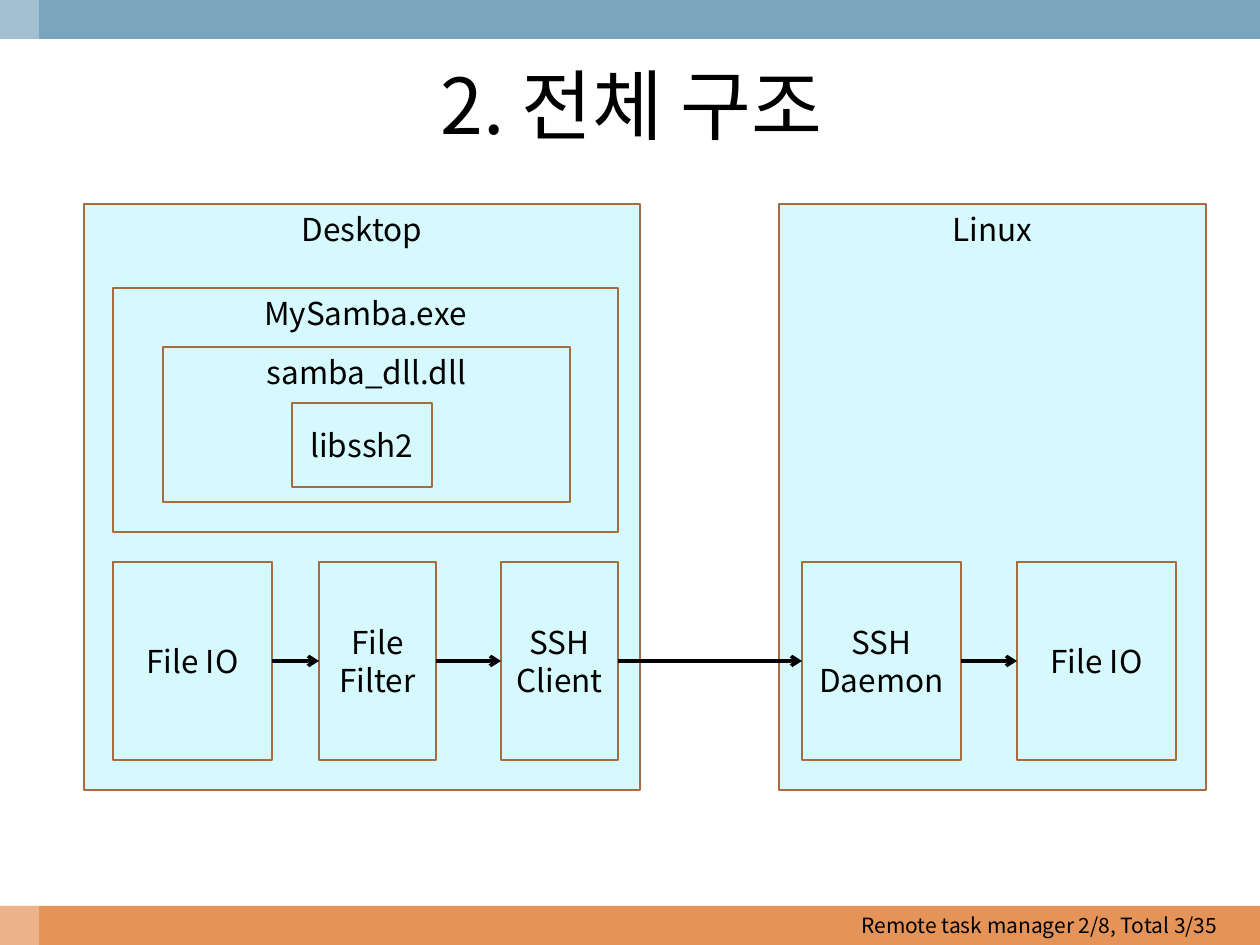
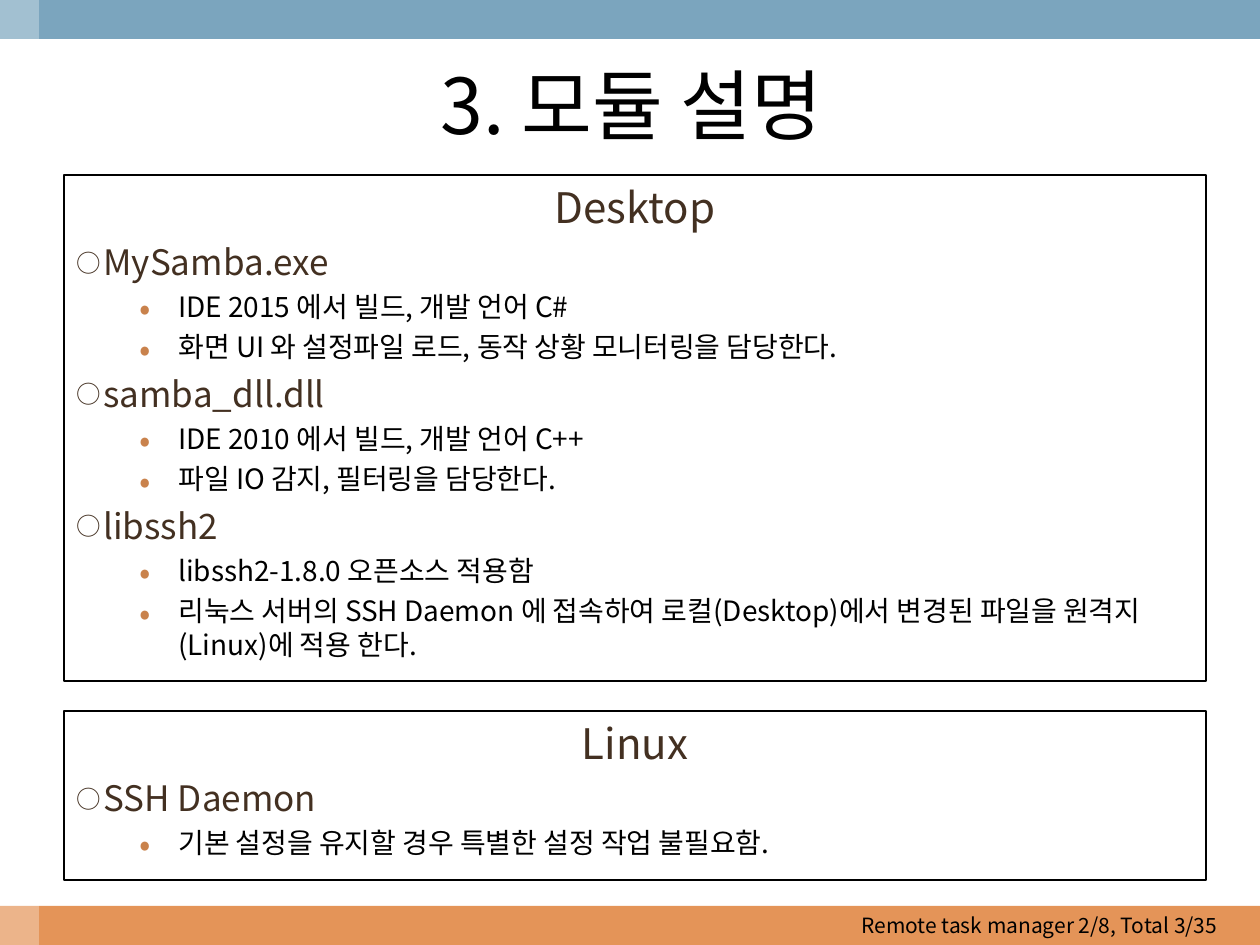
from dataclasses import dataclass

import pptx
import pptx.dml.color
import pptx.enum.shapes
import pptx.enum.text
import pptx.oxml
import pptx.oxml.ns
import pptx.util
from lxml import etree

ALIGN = pptx.enum.text.PP_ALIGN
ANCHOR = pptx.enum.text.MSO_ANCHOR
EMU_PER_PX = 914400 / 126
PAGE_WIDTH, PAGE_HEIGHT, BAND = 1260, 945, 39


@dataclass(frozen=True)
class Theme:
    font: str = "Noto Sans CJK KR"
    ink: str = "000000"
    brown: str = "433021"
    bullet: str = "C9824C"
    top_band: str = "7BA5BE"
    bottom_band: str = "E49458"
    strip: str = "FFFFFF"
    block_fill: str = "D6F9FE"
    block_line: str = "A76B3E"
    title_size: int = 44
    heading_size: int = 24
    module_size: int = 20
    label_size: int = 18
    detail_size: int = 16
    footer_size: int = 12


THEME = Theme()


def px(length):
    return pptx.util.Emu(round(length * EMU_PER_PX))


def rgb(value):
    return pptx.dml.color.RGBColor.from_string(value)


def add_child(parent, tag, **attributes):
    child = etree.SubElement(parent, pptx.oxml.ns.qn(tag))
    for name, value in attributes.items():
        child.set(name, str(value))
    return child


# Text

def style_paragraph(paragraph, size, color, align=ALIGN.LEFT):
    paragraph.alignment = align
    font = paragraph.font
    font.size = pptx.util.Pt(size)
    font.name = THEME.font
    font.color.rgb = rgb(color)
    properties = paragraph._p.get_or_add_pPr().find(pptx.oxml.ns.qn("a:defRPr"))
    add_child(properties, "a:ea", typeface=THEME.font)


def write_lines(shape, text, size, align, anchor):
    frame = shape.text_frame
    frame.word_wrap = True
    frame.vertical_anchor = anchor
    frame.text = text
    for paragraph in frame.paragraphs:
        style_paragraph(paragraph, size, THEME.ink, align)


def add_label(page, bounds, text, size, align):
    box = page.shapes.add_textbox(*map(px, bounds))
    write_lines(box, text, size, align, ANCHOR.MIDDLE)


def add_bullet(paragraph, char, color, percent, margin, hanging):
    properties = paragraph._p.get_or_add_pPr()
    properties.set("marL", str(px(margin)))
    properties.set("indent", str(-px(hanging)))
    add_child(add_child(properties, "a:buClr"), "a:srgbClr", val=color)
    add_child(properties, "a:buSzPct", val=percent * 1000)
    add_child(properties, "a:buFont", typeface=THEME.font)
    add_child(properties, "a:buChar", char=char)


# Shapes

def add_rectangle(page, bounds, fill=None, line=None, line_width=1.25):
    shape = page.shapes.add_shape(
        pptx.enum.shapes.MSO_SHAPE.RECTANGLE, *map(px, bounds))
    shape.shadow.inherit = False
    if fill:
        shape.fill.solid()
        shape.fill.fore_color.rgb = rgb(fill)
    else:
        shape.fill.background()
    if line:
        shape.line.color.rgb = rgb(line)
        shape.line.width = pptx.util.Pt(line_width)
    else:
        shape.line.fill.background()
    return shape


def add_block(page, bounds, text, anchor=ANCHOR.MIDDLE):
    block = add_rectangle(page, bounds, THEME.block_fill, THEME.block_line)
    write_lines(block, text, THEME.label_size, ALIGN.CENTER, anchor)
    return block


def add_arrow(page, source, target):
    arrow = page.shapes.add_connector(
        pptx.enum.shapes.MSO_CONNECTOR.STRAIGHT, 0, 0, 0, 0)
    arrow.begin_connect(source, 3)
    arrow.end_connect(target, 1)
    arrow.line.color.rgb = rgb(THEME.ink)
    arrow.line.width = pptx.util.Pt(2)
    add_child(arrow.line._get_or_add_ln(), "a:tailEnd", type="arrow")
    add_child(arrow._element.spPr, "a:effectLst")


def add_module_panel(page, top, height, heading, modules):
    panel = add_rectangle(page, (64, top, 1142, height), None, THEME.ink, 0.75)
    frame = panel.text_frame
    frame.word_wrap = True
    frame.vertical_anchor = ANCHOR.TOP
    frame.text = heading
    style_paragraph(frame.paragraphs[0], THEME.heading_size, THEME.brown,
                    ALIGN.CENTER)
    for module, details in modules:
        name = frame.add_paragraph()
        name.text = module
        name.space_before = pptx.util.Pt(5)
        add_bullet(name, "○", THEME.brown, 70, 27, 27)
        style_paragraph(name, THEME.module_size, THEME.brown)
        for detail in details:
            item = frame.add_paragraph()
            item.text = detail
            item.level = 1
            item.space_before = pptx.util.Pt(4)
            add_bullet(item, "•", THEME.bullet, 120, 102, 39)
            style_paragraph(item, THEME.detail_size, THEME.ink)


# Pages

def add_page(deck, title):
    page = deck.slides.add_slide(deck.slide_layouts[6])
    bottom = PAGE_HEIGHT - BAND
    add_rectangle(page, (0, bottom, PAGE_WIDTH, BAND), THEME.bottom_band)
    add_rectangle(page, (0, 0, PAGE_WIDTH, BAND), THEME.top_band)
    strip = add_rectangle(page, (0, 0, BAND, PAGE_HEIGHT), THEME.strip)
    color = strip._element.spPr.find(".//" + pptx.oxml.ns.qn("a:srgbClr"))
    add_child(color, "a:alpha", val=30000)
    add_label(page, (42, BAND, 1179, 130), title, THEME.title_size, ALIGN.CENTER)
    add_label(page, (779, bottom, 451, BAND),
              "Remote task manager 2/8, Total 3/35",
              THEME.footer_size, ALIGN.RIGHT)
    return page


def add_structure_page(deck):
    page = add_page(deck, "2. 전체 구조")
    # Nested containers
    for bounds, text in (
        ((84, 204, 556, 586), "Desktop"),
        ((779, 204, 427, 586), "Linux"),
        ((113, 288, 505, 244), "MySamba.exe"),
        ((163, 347, 407, 155), "samba_dll.dll"),
    ):
        add_block(page, bounds, text, ANCHOR.TOP)
    add_block(page, (292, 403, 140, 84), "libssh2")
    # Data flow from the local machine to the server
    stages = [
        add_block(page, (left, 562, width, 198), text)
        for left, width, text in (
            (113, 159, "File IO"),
            (319, 117, "File\nFilter"),
            (501, 117, "SSH\nClient"),
            (802, 159, "SSH\nDaemon"),
            (1017, 159, "File IO"),
        )
    ]
    for source, target in zip(stages, stages[1:]):
        add_arrow(page, source, target)


def add_modules_page(deck):
    page = add_page(deck, "3. 모듈 설명")
    add_module_panel(page, 175, 506, "Desktop", (
        ("MySamba.exe", (
            "IDE 2015 에서 빌드, 개발 언어 C#",
            "화면 UI 와 설정파일 로드, 동작 상황 모니터링을 담당한다.")),
        ("samba_dll.dll", (
            "IDE 2010 에서 빌드, 개발 언어 C++",
            "파일 IO 감지, 필터링을 담당한다.")),
        ("libssh2", (
            "libssh2-1.8.0 오픈소스 적용함",
            "리눅스 서버의 SSH Daemon 에 접속하여 로컬(Desktop)에서 "
            "변경된 파일을 원격지(Linux)에 적용 한다.")),
    ))
    add_module_panel(page, 711, 169, "Linux", (
        ("SSH Daemon", ("기본 설정을 유지할 경우 특별한 설정 작업 불필요함.",)),
    ))


def main():
    deck = pptx.Presentation()
    deck.slide_width = px(PAGE_WIDTH)
    deck.slide_height = px(PAGE_HEIGHT)
    add_structure_page(deck)
    add_modules_page(deck)
    deck.save("out.pptx")


if __name__ == "__main__":
    main()
